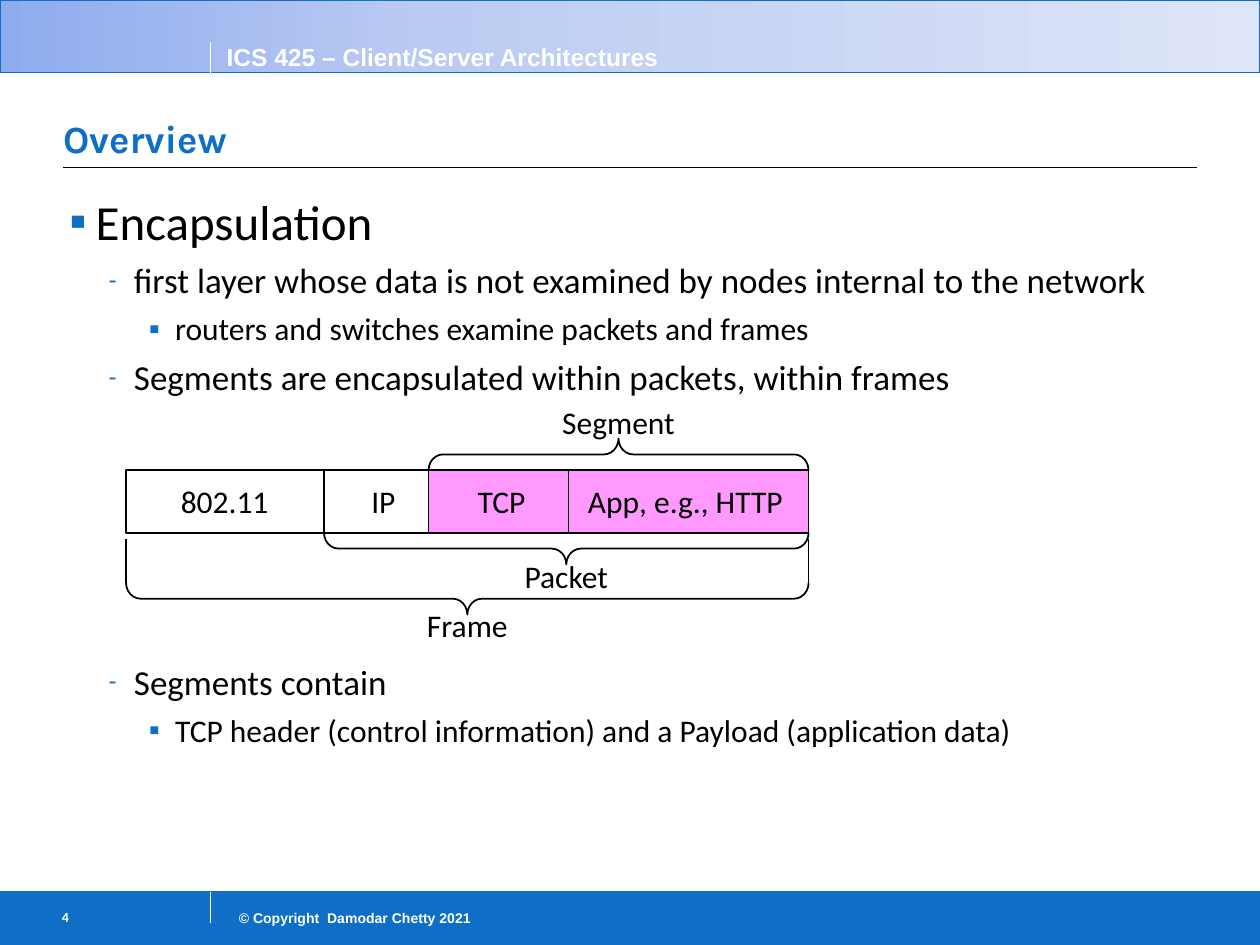
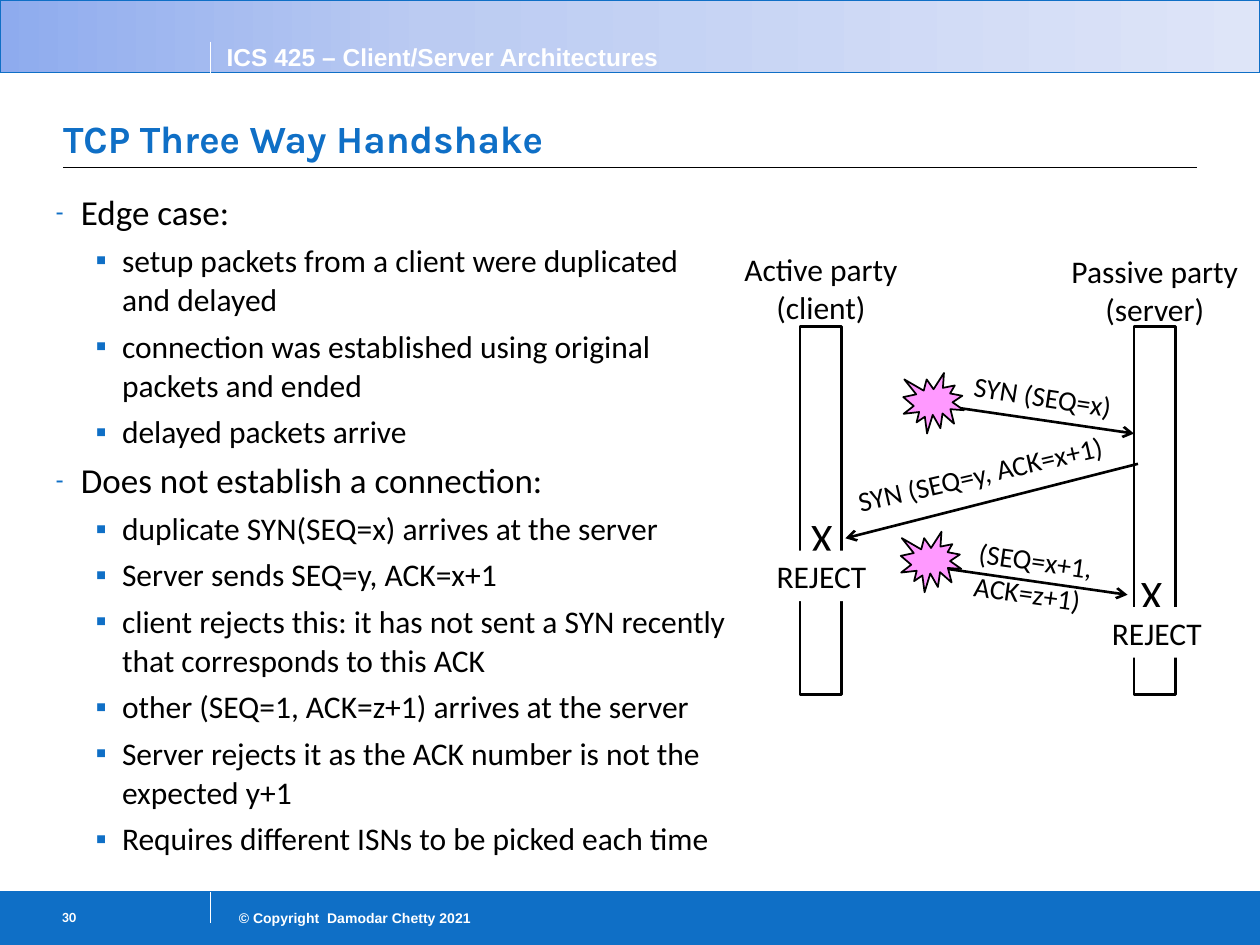
"""Build two lecture slides on TCP segments and the three-way handshake."""
import copy

import lxml.etree
import pptx
import pptx.dml.color
import pptx.enum.shapes
import pptx.enum.text
import pptx.oxml.ns
import pptx.util

Cm, Pt = pptx.util.Cm, pptx.util.Pt
qn = pptx.oxml.ns.qn
SHAPE = pptx.enum.shapes.MSO_SHAPE
ALIGN = pptx.enum.text.PP_ALIGN
ANCHOR = pptx.enum.text.MSO_ANCHOR

BLUE, BLACK, WHITE, PINK = "0F6FC6", "000000", "FFFFFF", "FF99FF"
HEADER_STOPS = [(0, "8EABEE"), (0.34, "BBCBF2"), (1, "DEE5F8")]
COURSE = "ICS 425 – Client/Server Architectures"
COPYRIGHT = "© Copyright  Damodar Chetty 2021"
WIDTH, HEIGHT = 25.4, 19.05
HEADER_BOTTOM, FOOTER_TOP, TICK_X = 1.47, 17.98, 4.24
INSETS = (0.25, 0.13, 0.25, 0.13)

# level: size, left margin, hanging indent, bullet, bullet size in percent
LEVELS = [
    (28, 0.53, 0.53, "▪", 100),
    (20, 1.3, 0.51, "-", 70),
    (18, 2.13, 0.53, "▪", 100),
]
LIST_GAP, DIAGRAM_GAP = 4, 149

OVERVIEW = [
    (0, "Encapsulation"),
    (1, "first layer whose data is not examined by nodes internal to the network"),
    (2, "routers and switches examine packets and frames"),
    (1, "Segments are encapsulated within packets, within frames"),
    (1, "Segments contain", DIAGRAM_GAP),
    (2, "TCP header (control information) and a Payload (application data)"),
]
HANDSHAKE = [
    (1, "Edge case:"),
    (2, "setup packets from a client were duplicated and delayed"),
    (2, "connection was established using original packets and ended"),
    (2, "delayed packets arrive"),
    (1, "Does not establish a connection:"),
    (2, "duplicate SYN(SEQ=x) arrives at the server"),
    (2, "Server sends SEQ=y, ACK=x+1"),
    (2, "client rejects this: it has not sent a SYN recently that corresponds to this ACK"),
    (2, "other (SEQ=1, ACK=z+1) arrives at the server"),
    (2, "Server rejects it as the ACK number is not the expected y+1"),
    (2, "Requires different ISNs to be picked each time"),
]

# name, left edge, label centre
FIELDS = [("802.11", 2.54, 4.53), ("IP", 6.53, 7.73), ("TCP", 8.64, 10.11),
          ("App, e.g., HTTP", 11.46, 13.82)]
FIELD_TOP, FIELD_H, FRAME_RIGHT = 9.47, 1.27, 16.3
# name, first field covered, brace top, label top, rotation
BRACES = [("Segment", 2, 8.84, 8.0, 270), ("Packet", 1, 10.74, 11.1, 90),
          ("Frame", 0, 11.75, 12.09, 90)]
BRACE_H, LEG_TOP, LEG_BOTTOM = 0.64, 10.87, 11.76

PARTIES = [("Active party\n(client)", (14.99, 5.05, 3.12, 1.55), 16.13),
           ("Passive party\n(server)", (21.59, 5.08, 3.38, 1.55), 22.86)]
MESSAGES = [
    ("SYN (SEQ=x)", (19.38, 7.52, 3.33, 0.94), 8.7, (18.82, 8.15, 22.86, 8.74)),
    ("SYN (SEQ=y, ACK=x+1)", (16.99, 9.07, 5.61, 0.94), 347, (22.94, 9.35, 17.04, 10.85)),
    ("(SEQ=x+1,\nACK=z+1)", (19.43, 10.82, 2.84, 1.63), 7.9, (18.62, 11.4, 22.73, 11.99)),
]
BURSTS = [(18.21, 7.52), (18.16, 10.72)]
# corner of the cross, corner of the caption
REJECTS = [((16.08, 10.19), (15.39, 11.1)), ((22.73, 11.33), (22.15, 12.24))]


def rgb(color):
    """Turn a hex string into a colour."""
    return pptx.dml.color.RGBColor.from_string(color)


def write(tf, text, size=18, color=BLACK, font="Calibri", bold=False, align=None,
          anchor=ANCHOR.TOP, insets=INSETS, wrap=True):
    """Fill a text frame, one paragraph per line of text."""
    tf.auto_size = pptx.enum.text.MSO_AUTO_SIZE.NONE
    tf.word_wrap, tf.vertical_anchor = wrap, anchor
    tf.margin_left, tf.margin_top, tf.margin_right, tf.margin_bottom = map(Cm, insets)
    for i, line in enumerate(text.split("\n")):
        p = tf.add_paragraph() if i else tf.paragraphs[0]
        p.alignment = align
        r = p.add_run()
        r.text = line
        r.font.size, r.font.name, r.font.bold = Pt(size), font, bold
        r.font.color.rgb = rgb(color)


def place(sp, box):
    """Move a shape to a box given in centimetres."""
    sp.left, sp.top, sp.width, sp.height = map(Cm, box)


def label(s, text, box, fill=None, rotation=0, **fmt):
    """Add a text box."""
    sp = s.shapes.add_textbox(*map(Cm, box))
    sp.rotation = rotation
    if fill:
        sp.fill.solid()
        sp.fill.fore_color.rgb = rgb(fill)
    write(sp.text_frame, text, **fmt)


def shape(s, kind, box, fill=None, line=None, weight=1):
    """Add a preset shape."""
    sp = s.shapes.add_shape(kind, *map(Cm, box))
    sp.shadow.inherit = False
    if fill:
        sp.fill.solid()
        sp.fill.fore_color.rgb = rgb(fill)
    else:
        sp.fill.background()
    if line:
        sp.line.color.rgb, sp.line.width = rgb(line), Pt(weight)
    else:
        sp.line.fill.background()
    return sp


def connect(s, ends, color=BLACK, weight=1, arrow=False):
    """Add a straight line, with an arrowhead at its end if asked."""
    sp = s.shapes.add_connector(pptx.enum.shapes.MSO_CONNECTOR.STRAIGHT, *map(Cm, ends))
    sp.line.color.rgb, sp.line.width = rgb(color), Pt(weight)
    if arrow:
        lxml.etree.SubElement(sp.line._get_or_add_ln(), qn("a:tailEnd"), type="arrow")
    lxml.etree.SubElement(sp._element.spPr, qn("a:effectLst"))


def bullets(sp, items):
    """Fill the body placeholder with a multilevel list."""
    tf = sp.text_frame
    write(tf, "\n".join(item[1] for item in items), insets=(0.13,) * 4)
    for i, (p, (level, _, *gap)) in enumerate(zip(tf.paragraphs, items)):
        size, left, hang, char, percent = LEVELS[level]
        p.level = level
        pPr = p._p.get_or_add_pPr()
        pPr.set("marL", str(Cm(left)))
        pPr.set("indent", str(-Cm(hang)))
        clr = lxml.etree.SubElement(pPr, qn("a:buClr"))
        lxml.etree.SubElement(clr, qn("a:srgbClr"), val=BLUE)
        lxml.etree.SubElement(pPr, qn("a:buSzPct"), val=str(percent * 1000))
        lxml.etree.SubElement(pPr, qn("a:buChar"), char=char)
        p.line_spacing = 1.04
        p.space_before = Pt((gap[0] if gap else LIST_GAP) if i else 0)
        p.space_after = Pt(0)
        p.runs[0].font.size = Pt(size)


def add_slide(prs, number, title, items, body_box):
    """Add a slide with the shared bands, title and list."""
    s = prs.slides.add_slide(prs.slide_layouts[1])
    shape(s, SHAPE.RECTANGLE, (0, FOOTER_TOP, WIDTH, HEIGHT - FOOTER_TOP), BLUE, BLUE, 0.75)
    header = shape(s, SHAPE.RECTANGLE, (0, 0, WIDTH, HEADER_BOTTOM), line=BLUE, weight=0.75)
    header.fill.gradient()
    header.fill.gradient_angle = 0
    stops = header._element.spPr.find(".//" + qn("a:gsLst"))
    stops.insert(1, copy.deepcopy(stops[0]))
    for stop, (position, color) in zip(header.fill.gradient_stops, HEADER_STOPS):
        stop.position, stop.color.rgb = position, rgb(color)
    for y in (HEADER_BOTTOM, FOOTER_TOP):
        connect(s, (0, y, WIDTH, y), BLUE, 0.5)
    for y in (HEADER_BOTTOM - 0.63, FOOTER_TOP):
        connect(s, (TICK_X, y, TICK_X, y + 0.63), WHITE, 0.75)
    connect(s, (1.27, 3.38, 24.13, 3.38), weight=0.75)
    band = dict(color=WHITE, bold=True)
    label(s, COURSE, (4.32, 0.71, 10.29, 0.86), size=14, font="Arial", **band)
    label(s, COPYRIGHT, (TICK_X, 18.21, 5.51, 0.61), size=8, font="Arial",
          align=ALIGN.RIGHT, **band)
    label(s, str(number), (0.84, 18.14, 3.38, 0.89), size=8,
          insets=(0.41, 0.18, 0.25, 0.13), **band)
    place(s.shapes.title, (1.27, 1.55, 22.86, 1.83))
    write(s.shapes.title.text_frame, title, size=22, color=BLUE, font="Karla", bold=True,
          align=ALIGN.LEFT, anchor=ANCHOR.BOTTOM, insets=(0, 0.13, 0, 0.13))
    place(s.placeholders[1], body_box)
    bullets(s.placeholders[1], items)
    return s


def draw_frame(s):
    """Draw the nested headers and the braces that name them."""
    lefts = [left for _, left, _ in FIELDS]
    shape(s, SHAPE.RECTANGLE, (lefts[2], FIELD_TOP, FRAME_RIGHT - lefts[2], FIELD_H), PINK)
    shape(s, SHAPE.RECTANGLE, (lefts[0], FIELD_TOP, FRAME_RIGHT - lefts[0], FIELD_H), line=BLACK)
    for x in lefts[1:]:
        connect(s, (x, FIELD_TOP, x, FIELD_TOP + FIELD_H))
    for name, _, centre in FIELDS:
        label(s, name, (centre - 2.5, FIELD_TOP, 5, FIELD_H),
              align=ALIGN.CENTER, anchor=ANCHOR.MIDDLE)
    for name, first, top, label_top, rotation in BRACES:
        span = FRAME_RIGHT - lefts[first]
        centre = lefts[first] + span / 2
        sp = shape(s, SHAPE.RIGHT_BRACE, (centre - BRACE_H / 2, top + BRACE_H / 2 - span / 2,
                                          BRACE_H, span), line=BLACK)
        sp.rotation = rotation
        sp.adjustments[0] = 0.458
        label(s, name, (centre - 2.05, label_top, 4.1, 1.02), align=ALIGN.CENTER)
    for x in (lefts[0], FRAME_RIGHT):
        connect(s, (x, LEG_TOP, x, LEG_BOTTOM))


def draw_handshake(s):
    """Draw both parties, their messages and the rejections."""
    for name, box, x in PARTIES:
        label(s, name, box, fill=WHITE, align=ALIGN.CENTER, insets=(0,) * 4, wrap=False)
        shape(s, SHAPE.RECTANGLE, (x, 6.58, 0.84, 7.42), line=BLACK, weight=1.5)
    for text, box, rotation, ends in MESSAGES:
        label(s, text, box, rotation=rotation, size=16, wrap=False)
        connect(s, ends, weight=1.5, arrow=True)
    for corner in BURSTS:
        shape(s, SHAPE.EXPLOSION1, (*corner, 1.22, 1.22), PINK, BLACK)
    for cross, caption in REJECTS:
        label(s, "X", (*cross, 0.97, 1.27), size=24, wrap=False, align=ALIGN.CENTER)
        label(s, "REJECT", (*caption, 2.34, 1.02), fill=WHITE, wrap=False, align=ALIGN.CENTER)


def main():
    """Build and save the presentation."""
    prs = pptx.Presentation()
    prs.slide_width, prs.slide_height = Cm(WIDTH), Cm(HEIGHT)
    draw_frame(add_slide(prs, 4, "Overview", OVERVIEW, (1.27, 3.68, 24.13, 13.69)))
    draw_handshake(add_slide(prs, 30, "TCP Three Way Handshake", HANDSHAKE,
                             (0.2, 3.68, 14.6, 13.69)))
    prs.save("out.pptx")


if __name__ == "__main__":
    main()
